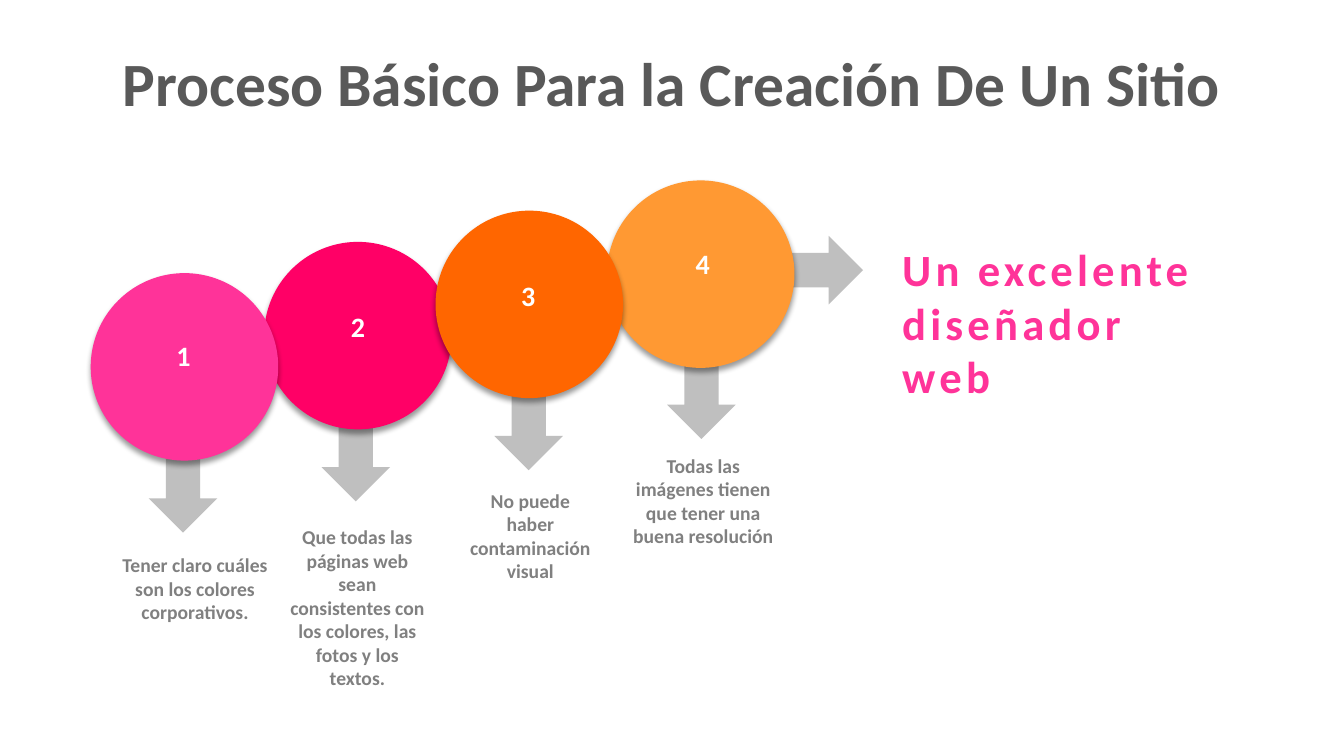
from lxml import etree
from pptx import Presentation
from pptx.dml.color import RGBColor
from pptx.enum.shapes import MSO_SHAPE
from pptx.enum.text import MSO_ANCHOR, MSO_AUTO_SIZE, PP_ALIGN
from pptx.oxml.ns import qn
from pptx.util import Inches, Pt

ARROW, OVAL = MSO_SHAPE.RIGHT_ARROW, MSO_SHAPE.OVAL
LEFT, CENTER = PP_ALIGN.LEFT, PP_ALIGN.CENTER
MIDDLE = MSO_ANCHOR.MIDDLE
GROW = MSO_AUTO_SIZE.SHAPE_TO_FIT_TEXT
COLORS = {
    "arrow": "BFBFBF", "title": "595959", "caption": "808080",
    "white": "FFFFFF", "pink": "FF3399", "magenta": "FF0066",
    "orange": "FF6600", "amber": "FF9933",
}

prs = Presentation()
prs.slide_width, prs.slide_height = Inches(13.33), Inches(7.5)
s = prs.slides.add_slide(prs.slide_layouts[6])


def add_shape(kind, x, y, w, h, color):
    sp = s.shapes.add_shape(kind, Inches(x), Inches(y), Inches(w), Inches(h))
    sp.shadow.inherit = False
    sp.fill.solid()
    sp.fill.fore_color.rgb = RGBColor.from_string(COLORS[color])
    sp.line.fill.background()
    return sp


def add_text(text, x, y, w, h, size, color, align=CENTER):
    tf = s.shapes.add_textbox(Inches(x), Inches(y), Inches(w), Inches(h)).text_frame
    tf.word_wrap = True
    tf.auto_size = GROW
    p = tf.paragraphs[0]
    p.alignment = align
    r = p.add_run()
    r.text = text
    r.font.name, r.font.size, r.font.bold = "Calibri", Pt(size), True
    r.font.color.rgb = RGBColor.from_string(COLORS[color])
    return tf


# Steps: circle colour, circle position, number position, caption, caption box
steps = [
    ("pink", (0.9, 2.71), (0.97, 3.31),
     "Tener claro cuáles son los colores corporativos.", (1.1, 5.44, 1.67, 0.81)),
    ("magenta", (2.62, 2.4), (2.7, 3.02),
     "Que todas las páginas web sean consistentes con los colores, las fotos y los textos.",
     (2.77, 5.16, 1.55, 1.75)),
    ("orange", (4.32, 2.09), (4.39, 2.71),
     "No puede haber contaminación visual", (4.54, 4.8, 1.44, 1.04)),
    ("amber", (6.02, 1.79), (6.12, 2.4),
     "Todas las imágenes tienen que tener una buena resolución", (6.17, 4.45, 1.61, 1.04)),
]

# Arrows: one to the result, one down from each circle
add_shape(ARROW, 7.73, 2.34, 0.83, 0.68, "arrow")
for i in range(len(steps)):
    sp = add_shape(ARROW, 1.4 + 1.714 * i, 4.53 - 0.31 * i, 0.83, 0.68, "arrow")
    sp.rotation = 90

# Circles with a soft shadow; the odd steps overlap the even ones
for i in (1, 0, 3, 2):
    color, (x, y) = steps[i][:2]
    sp = add_shape(OVAL, x, y, 1.86, 1.86, color)
    effects = sp._element.spPr.find(qn("a:effectLst"))
    shadow = etree.SubElement(effects, qn("a:outerShdw"), blurRad=str(Pt(4)),
                              dist=str(Pt(3)), dir="5400000", rotWithShape="0")
    tint = etree.SubElement(shadow, qn("a:srgbClr"), val="000000")
    etree.SubElement(tint, qn("a:alpha"), val="40000")

# Result
tf = add_text("Un excelente diseñador web", 8.85, 2.35, 3.38, 1.71, 31.9, "pink", LEFT)
tf.paragraphs[0].runs[0].font._element.set("spc", "300")

# Numbers and captions
for number, (_, _, (x, y), caption, box) in enumerate(steps, 1):
    add_text(str(number), x, y, 1.7, 0.44, 20, "white")
    add_text(caption, *box, 14, "caption")

# Title
tf = add_text("Proceso Básico Para la Creación De Un Sitio",
              0.57, 0.5, 12.18, 0.72, 43.9, "title")
tf.auto_size = MSO_AUTO_SIZE.NONE
tf.vertical_anchor = MIDDLE
tf.paragraphs[0].line_spacing = 0.9

prs.save("out.pptx")
